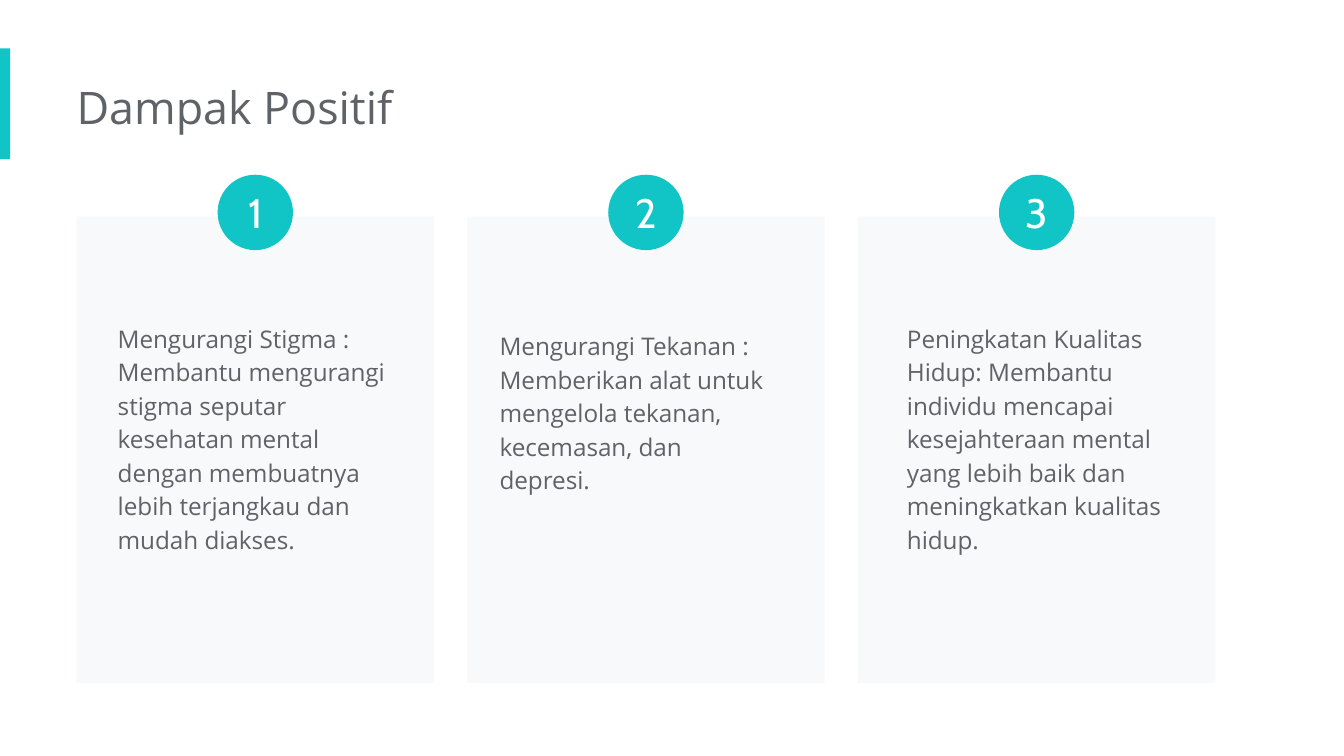
from pptx import Presentation
from pptx.dml.color import RGBColor
from pptx.enum.shapes import MSO_SHAPE
from pptx.enum.text import MSO_ANCHOR, PP_ALIGN
from pptx.util import Pt

HUES = {"teal": "11C5C6", "card": "F8F9FA", "text": "5F6368", "white": "FFFFFF"}

# Card grid, in points
LEFT, TOP, WIDE, HIGH, STEP = 41, 116, 191.5, 250, 209.3
DOT = 40.4
PAD = 7.2

# Text, left and top of each card's text box
CARDS = [
    ("Mengurangi Stigma : Membantu mengurangi stigma seputar kesehatan mental "
     "dengan membuatnya lebih terjangkau dan mudah diakses.", 56, 164),
    ("Mengurangi Tekanan : Memberikan alat untuk mengelola tekanan, "
     "kecemasan, dan depresi.", 260.6, 168),
    ("Peningkatan Kualitas Hidup: Membantu individu mencapai kesejahteraan mental "
     "yang lebih baik dan meningkatkan kualitas hidup.", 478.8, 164),
]


def hue(name):
    return RGBColor.from_string(HUES[name])


def add_form(slide, kind, box, fill):
    form = slide.shapes.add_shape(kind, *map(Pt, box))
    form.shadow.inherit = False
    form.fill.solid()
    form.fill.fore_color.rgb = hue(fill)
    form.line.fill.background()
    return form


def set_text(shape, text, size, face, color, pads):
    frame = shape.text_frame
    frame.word_wrap = True
    (frame.margin_left, frame.margin_top,
     frame.margin_right, frame.margin_bottom) = map(Pt, pads)
    frame.text = text
    para = frame.paragraphs[0]
    para.font.size = Pt(size)
    para.font.name = face
    para.font.color.rgb = hue(color)
    return para


def add_text(slide, text, box, size, pads):
    label = slide.shapes.add_textbox(*map(Pt, box))
    return set_text(label, text, size, "Open Sans", "text", pads)


def add_card(slide, left, text, x, y):
    add_form(slide, MSO_SHAPE.RECTANGLE, (left, TOP, WIDE, HIGH), "card")
    para = add_text(slide, text, (x, y, 161.3, 139), 13, [PAD] * 4)
    para.line_spacing = 1.15


def add_dot(slide, left, num):
    box = (left + (WIDE - DOT) / 2, 93.6, DOT, DOT)
    dot = add_form(slide, MSO_SHAPE.OVAL, box, "teal")
    para = set_text(dot, str(num), 22, "Cabin", "white", [0] * 4)
    para.alignment = PP_ALIGN.CENTER
    dot.text_frame.vertical_anchor = MSO_ANCHOR.MIDDLE


def main():
    deck = Presentation()
    deck.slide_width, deck.slide_height = Pt(720), Pt(405)
    slide = deck.slides.add_slide(deck.slide_layouts[6])

    # Accent bar and title
    add_form(slide, MSO_SHAPE.RECTANGLE, (0, 26, 5.5, 59.3), "teal")
    add_text(slide, "Dampak Positif", (LEFT, 35.4, 553, 44), 24,
             (0, PAD, PAD, PAD))

    # Numbered cards
    for i, (text, x, y) in enumerate(CARDS):
        left = LEFT + i * STEP
        add_card(slide, left, text, x, y)
        add_dot(slide, left, i + 1)

    deck.save("out.pptx")


if __name__ == "__main__":
    main()
